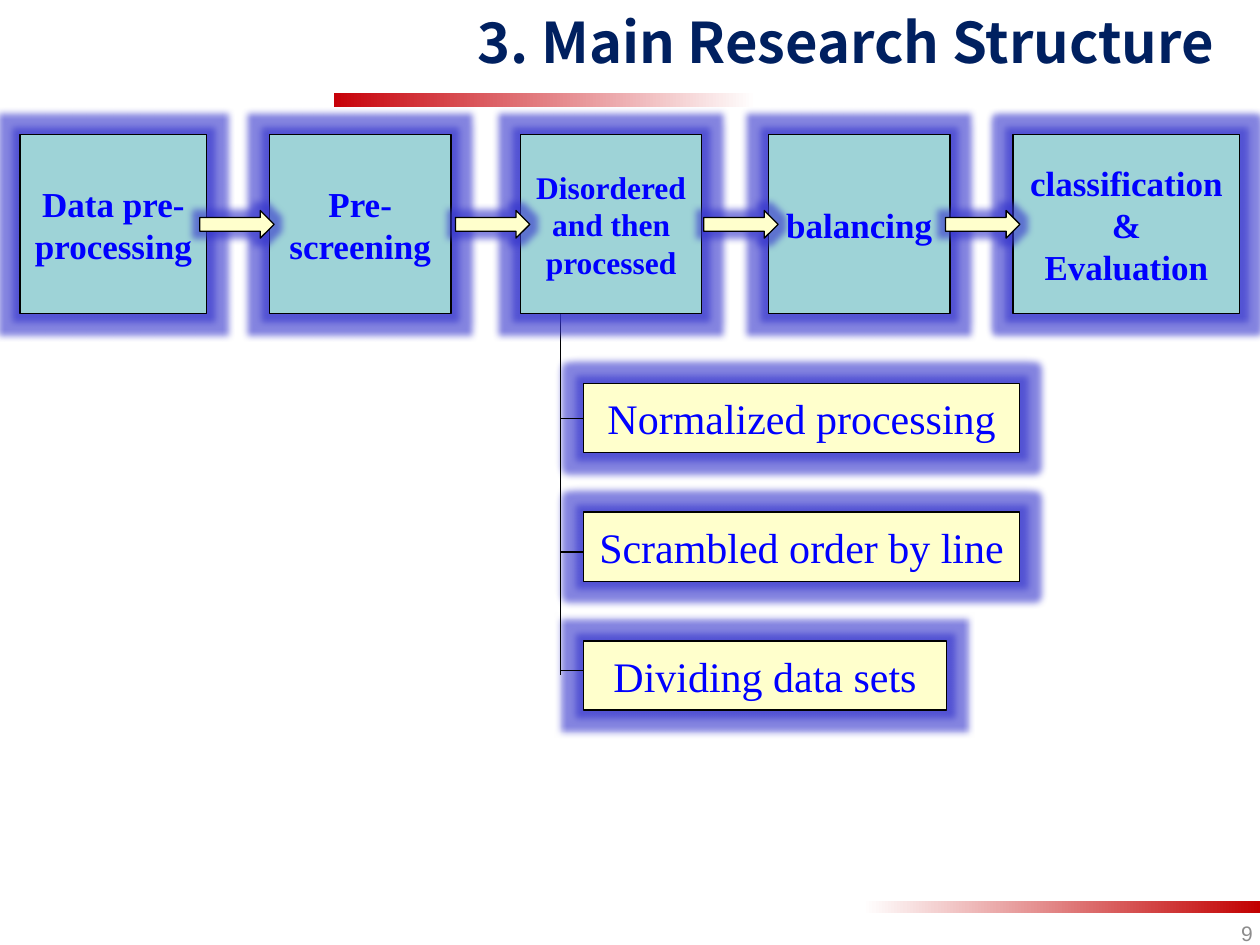
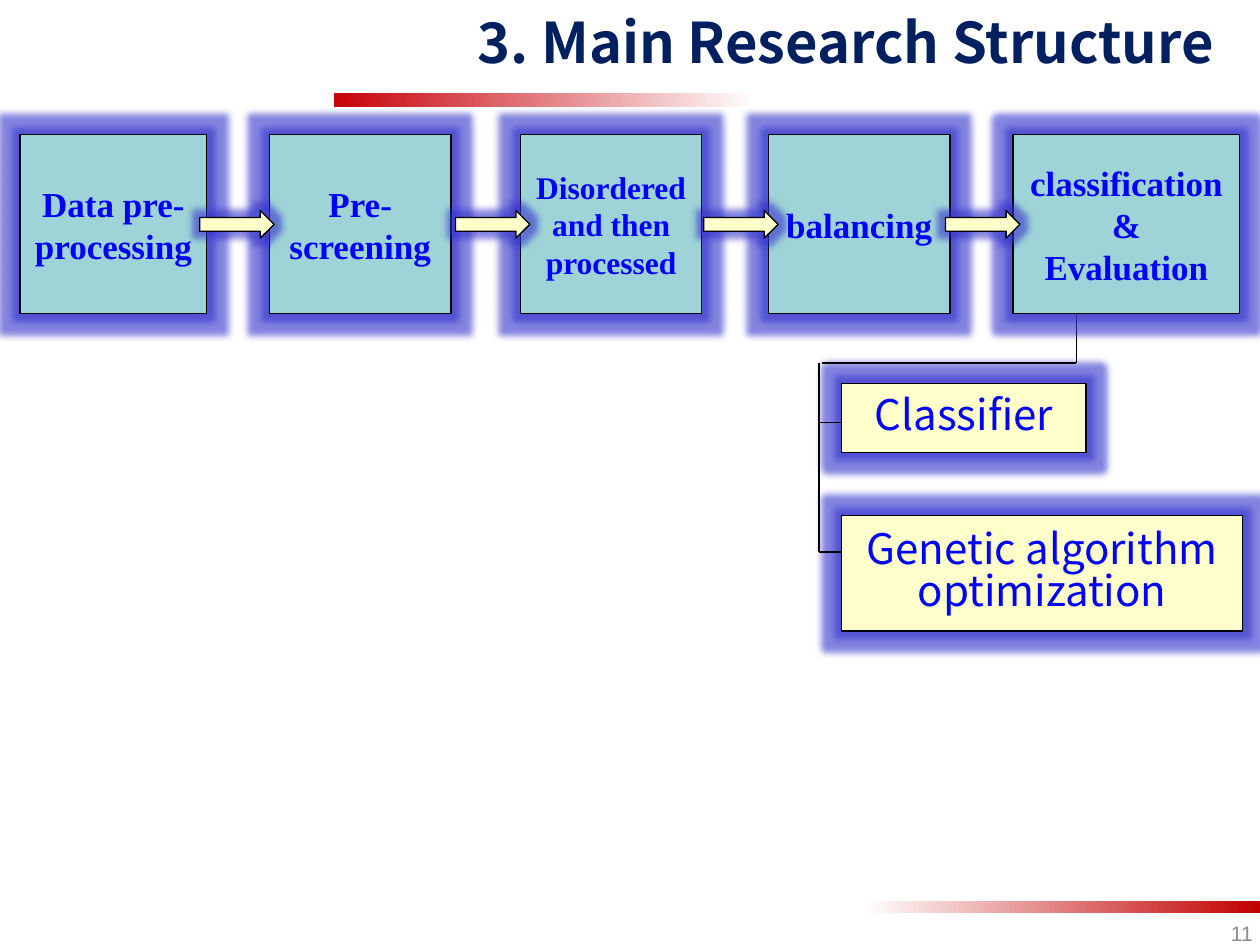
from lxml.etree import SubElement
from pptx import Presentation
from pptx.dml.color import RGBColor
from pptx.enum.shapes import MSO_CONNECTOR as Connector, MSO_SHAPE as Shape
from pptx.enum.text import MSO_ANCHOR as Anchor, PP_ALIGN as Align
from pptx.oxml.ns import qn
from pptx.util import Pt

COLORS = {
    "white": "FFFFFF", "black": "000000", "title": "002060",
    "top_band": "C70109", "bottom_band": "C20000", "number": "8C8C8C",
    "stage": "9ED3D7", "detail": "FFFFCC", "text": "0000FF", "glow": "3333CC",
}
SERIF, SANS = "Times New Roman", "Noto Sans CJK SC"
GLOW_RADIUS, GLOW_ALPHA = Pt(8), 60

# Character formats
TITLE_FONT = {"name": SANS, "size": Pt(32), "bold": True}
NUMBER_FONT = {"name": "Arial", "size": Pt(12), "bold": False}
STAGE_FONT = {"name": SERIF, "size": Pt(20), "bold": True}
DETAIL_FONT = {"name": SERIF, "size": Pt(24), "bold": False}

# Stage row: left, width, text size, paragraphs
ROW_TOP, ROW_HEIGHT = 77, 102.3
STAGES = [
    (11.5, 106.6, 20, ["Data pre-processing"]),
    (154, 103.7, 20, ["Pre-screening"]),
    (297.4, 103.7, 18, ["Disordered and then processed"]),
    (439.2, 103.7, 20, ["balancing"]),
    (578.9, 129.6, 20, ["classification&", "Evaluation"]),
]
ARROW_CENTERS = [135.4, 281.5, 423.4, 561.6]
ARROW_WIDTH, ARROW_LENGTH = 15.8, 42.5


def rgb(key):
    return RGBColor.from_string(COLORS[key])


def set_all(target, values):
    for attribute, value in values.items():
        setattr(target, attribute, value)


def write(frame, paragraphs, font, color, align, spacing=None):
    frame.word_wrap = True
    frame.text = "\n".join(paragraphs)
    for paragraph in frame.paragraphs:
        set_all(paragraph, {"alignment": align, "line_spacing": spacing})
        for run in paragraph.runs:
            set_all(run.font, font)
            run.font.color.rgb = rgb(color)


def add_glowing(slide, kind, box, fill):
    shape = slide.shapes.add_shape(kind, *map(Pt, box))
    shape.fill.solid()
    shape.fill.fore_color.rgb = rgb(fill)
    shape.line.color.rgb = rgb("black")
    shape.line.width = Pt(0.75)
    shape.shadow.inherit = False
    effects = shape.element.spPr.find(qn("a:effectLst"))
    glow = SubElement(effects, qn("a:glow"), rad=str(GLOW_RADIUS))
    color = SubElement(glow, qn("a:srgbClr"), val=COLORS["glow"])
    SubElement(color, qn("a:alpha"), val=str(GLOW_ALPHA * 1000))
    return shape


def add_box(slide, box, fill, paragraphs, font, spacing=None):
    frame = add_glowing(slide, Shape.RECTANGLE, box, fill).text_frame
    frame.vertical_anchor = Anchor.MIDDLE
    write(frame, paragraphs, font, "text", Align.CENTER, spacing)


def add_line(slide, *ends):
    line = slide.shapes.add_connector(Connector.STRAIGHT, *map(Pt, ends))
    line.line.color.rgb = rgb("black")
    line.line.width = Pt(0.75)
    SubElement(line.element.spPr, qn("a:effectLst"))


def add_band(slide, box, color, rotation=0):
    band = slide.shapes.add_shape(Shape.RECTANGLE, *map(Pt, box))
    set_all(band, {"rotation": rotation})
    band.shadow.inherit = False
    band.line.fill.background()
    band.fill.gradient()
    band.fill.gradient_angle = 0
    for stop, key, position in zip(band.fill.gradient_stops, ("white", color), (0, 1)):
        stop.color.rgb = rgb(key)
        stop.position = position


def add_frame(slide, number):
    """Bands, title and page number shared by all slides."""
    add_band(slide, (190.8, 53.3, 241.2, 7.9), "top_band", 180)
    add_band(slide, (493.2, 514.8, 226.8, 7.2), "bottom_band")

    title = slide.shapes.title
    set_all(title, {"left": Pt(0), "top": Pt(5.8), "width": Pt(699.8), "height": Pt(54)})
    set_all(title.text_frame, {
        "vertical_anchor": Anchor.TOP, "margin_left": Pt(5.8), "margin_right": Pt(5.8),
        "margin_top": Pt(2.9), "margin_bottom": Pt(3.6)})
    write(title.text_frame, ["3. Main Research Structure"], TITLE_FONT, "title",
          Align.RIGHT, 0.9)

    page = slide.shapes.add_textbox(Pt(555.1), Pt(519.1), Pt(167.8), Pt(28.8)).text_frame
    page.vertical_anchor = Anchor.MIDDLE
    write(page, [str(number)], NUMBER_FONT, "number", Align.RIGHT)


def add_stages(slide, top, height):
    """Row of stages joined by block arrows."""
    for left, width, size, paragraphs in STAGES:
        add_box(slide, (left, top, width, height), "stage", paragraphs,
                {**STAGE_FONT, "size": Pt(size)})
    middle = top + height / 2
    for center in ARROW_CENTERS:
        box = (center - ARROW_WIDTH / 2, middle - ARROW_LENGTH / 2,
               ARROW_WIDTH, ARROW_LENGTH)
        add_glowing(slide, Shape.DOWN_ARROW, box, "detail").rotation = 270


def add_details(slide, left, details, trunk, font_name, spacing=None):
    """Column of detail boxes hanging from a vertical trunk line."""
    trunk_x = left - 13
    for top, width, height, _, text in details:
        add_box(slide, (left, top, width, height), "detail", [text],
                {**DETAIL_FONT, "name": font_name}, spacing)
    add_line(slide, trunk_x, trunk[0], trunk_x, trunk[1])
    for *_, branch_y, _ in details:
        add_line(slide, left, branch_y, trunk_x, branch_y)


deck = Presentation()
set_all(deck, {"slide_width": Pt(720), "slide_height": Pt(540)})
TITLE_ONLY = deck.slide_layouts[5]

# Details: top, width, height, branch height, text
processing = deck.slides.add_slide(TITLE_ONLY)
add_frame(processing, 9)
add_details(processing, 333.4, [
    (219, 249.4, 39.6, 239, "Normalized processing"),
    (292.6, 249.4, 39.6, 315.4, "Scrambled order by line"),
    (366.2, 207.6, 39.6, 383.2, "Dividing data sets"),
], (179.3, 386), SERIF)
add_stages(processing, ROW_TOP, ROW_HEIGHT)

evaluation = deck.slides.add_slide(TITLE_ONLY)
add_frame(evaluation, 11)
add_details(evaluation, 481, [
    (219, 139.7, 39.6, 241.6, "Classifier"),
    (294.6, 229, 66, 315.4, "Genetic algorithm optimization"),
], (207.5, 315.4), SANS, 0.82)
# Elbow from the trunk up to the last stage
add_line(evaluation, 470, 207.5, 615, 207.5)
add_line(evaluation, 615, 207.5, 615, 179.3)
add_stages(evaluation, ROW_TOP, ROW_HEIGHT)

deck.save("out.pptx")
